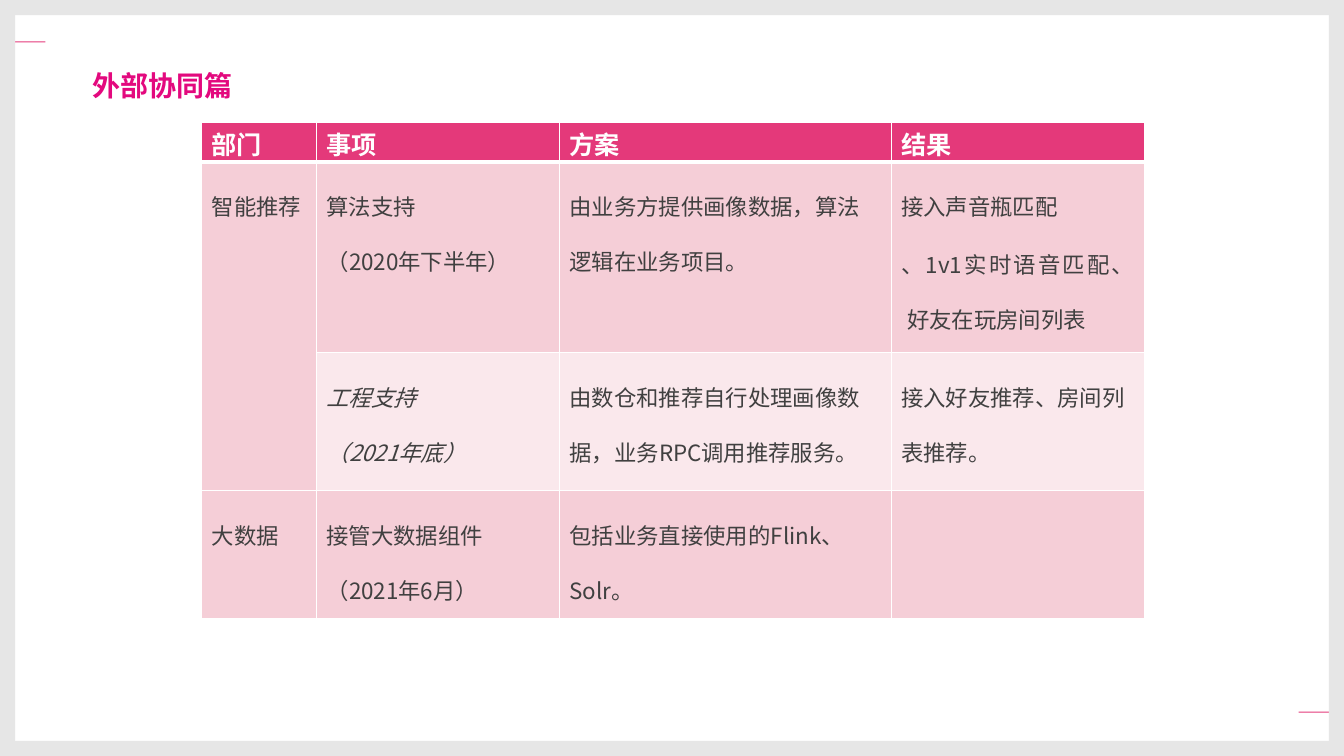
import pptx
import pptx.util
import pptx.dml.color
import pptx.enum.shapes
import pptx.enum.text
import pptx.oxml.ns
from lxml import etree

Inches, Pt = pptx.util.Inches, pptx.util.Pt
RGBColor = pptx.dml.color.RGBColor
ALIGN = pptx.enum.text.PP_ALIGN
qn = pptx.oxml.ns.qn

# Content
TITLE = "外部协同篇"
HEADERS = ["部门", "事项", "方案", "结果"]
ROWS = [
    [["智能推荐"], ["算法支持", "（2020年下半年）"],
     ["由业务方提供画像数据，算法逻辑在业务项目。"],
     ["接入声音瓶匹配", "、1v1实时语音匹配、好友在玩房间列表"]],
    [[], ["工程支持", "（2021年底）"],
     ["由数仓和推荐自行处理画像数据，业务RPC调用推荐服务。"],
     ["接入好友推荐、房间列表推荐。"]],
    [["大数据"], ["接管大数据组件", "（2021年6月）"],
     ["包括业务直接使用的Flink、Solr。"], []],
]
ITALIC_CELL = (2, 1)
HANGING_CELL = (1, 3)

# Format
FONT = "Noto Sans CJK SC"
PINK = RGBColor(0xE4, 0x39, 0x7A)
MAGENTA = RGBColor(0xE3, 0x09, 0x7E)
GRAY = RGBColor(0xE6, 0xE6, 0xE6)
DARK = RGBColor(0x40, 0x40, 0x40)
WHITE = RGBColor(0xFF, 0xFF, 0xFF)
BAND_DARK = RGBColor(0xF5, 0xCE, 0xD7)
BAND_LIGHT = RGBColor(0xFA, 0xE8, 0xEC)
WIDTH, HEIGHT, FRAME = 13.33, 7.5, 0.15
COLUMN_WIDTHS = [1.14, 2.41, 3.29, 2.51]
ROW_HEIGHTS = [0.4, 1.89, 1.37, 1.27]


def write_text(frame, lines, size=16, color=DARK, bold=False, italic=False,
               spacing=1.7, align=ALIGN.LEFT, hanging=0, after=0):
    for index, line in enumerate(lines):
        paragraph = frame.paragraphs[0] if index == 0 else frame.add_paragraph()
        paragraph.alignment = align
        paragraph.line_spacing = spacing
        if after:
            paragraph.space_after = Pt(after)
        if hanging:
            properties = paragraph._p.get_or_add_pPr()
            properties.set("marL", str(Inches(hanging)))
            properties.set("indent", str(-Inches(hanging)))
        run = paragraph.add_run()
        run.text = line
        font = run.font
        font.size, font.bold, font.italic, font.name = Pt(size), bold, italic, FONT
        font.color.rgb = color
        east_asian = etree.Element(qn("a:ea"), typeface=FONT)
        run._r.get_or_add_rPr().find(qn("a:latin")).addnext(east_asian)


def add_bar(slide, left, top, width, height, color):
    shape = slide.shapes.add_shape(
        pptx.enum.shapes.MSO_SHAPE.RECTANGLE,
        Inches(left), Inches(top), Inches(width), Inches(height))
    shape.shadow.inherit = False
    shape.fill.solid()
    shape.fill.fore_color.rgb = color
    shape.line.fill.background()


def set_borders(cell, top, bottom):
    properties = cell._tc.get_or_add_tcPr()
    for side, width in (("lnL", 1), ("lnR", 1), ("lnT", top), ("lnB", bottom)):
        line = etree.SubElement(properties, qn("a:" + side), w=str(Pt(width)))
        fill = etree.SubElement(line, qn("a:solidFill"))
        etree.SubElement(fill, qn("a:srgbClr"), val=str(WHITE))


def add_table(slide):
    table = slide.shapes.add_table(
        len(ROW_HEIGHTS), len(COLUMN_WIDTHS), Inches(2), Inches(1.21),
        Inches(sum(COLUMN_WIDTHS)), Inches(sum(ROW_HEIGHTS))).table
    for column, width in zip(table.columns, COLUMN_WIDTHS):
        column.width = Inches(width)
    for row, height in zip(table.rows, ROW_HEIGHTS):
        row.height = Inches(height)
    table.cell(1, 0).merge(table.cell(2, 0))

    for row_index, row in enumerate([[[header] for header in HEADERS]] + ROWS):
        for column_index, lines in enumerate(row):
            cell = table.cell(row_index, column_index)
            position = (row_index, column_index)
            set_borders(cell, 3 if row_index == 1 else 1, 3 if row_index == 0 else 1)
            cell.fill.solid()
            if row_index == 0:
                cell.fill.fore_color.rgb = PINK
                write_text(cell.text_frame, lines, size=18, color=WHITE,
                           bold=True, spacing=0.95)
                continue
            cell.fill.fore_color.rgb = BAND_DARK if row_index % 2 else BAND_LIGHT
            layout = {}
            if position == HANGING_CELL:
                layout = dict(align=ALIGN.JUSTIFY, hanging=0.06, after=2.4)
            write_text(cell.text_frame, lines, italic=position == ITALIC_CELL, **layout)


def main():
    presentation = pptx.Presentation()
    presentation.slide_width, presentation.slide_height = Inches(WIDTH), Inches(HEIGHT)
    slide = presentation.slides.add_slide(presentation.slide_layouts[6])

    # Accent dashes and gray frame
    for left, top in ((0, 0.41), (WIDTH - 0.45, 7.06)):
        add_bar(slide, left, top, 0.45, 0.01, PINK)
    for left in (0, WIDTH - FRAME):
        add_bar(slide, left, 0, FRAME, HEIGHT, GRAY)
    for top in (0, HEIGHT - FRAME):
        add_bar(slide, 0, top, WIDTH, FRAME, GRAY)

    # Title
    frame = slide.shapes.add_textbox(
        Inches(0.92), Inches(0.51), Inches(12.25), Inches(0.5)).text_frame
    frame.word_wrap = True
    frame.margin_left = frame.margin_right = frame.margin_top = frame.margin_bottom = 0
    write_text(frame, [TITLE], size=20, color=MAGENTA, bold=True, spacing=1.5)

    # Collaboration table
    add_table(slide)
    presentation.save("out.pptx")


if __name__ == "__main__":
    main()
